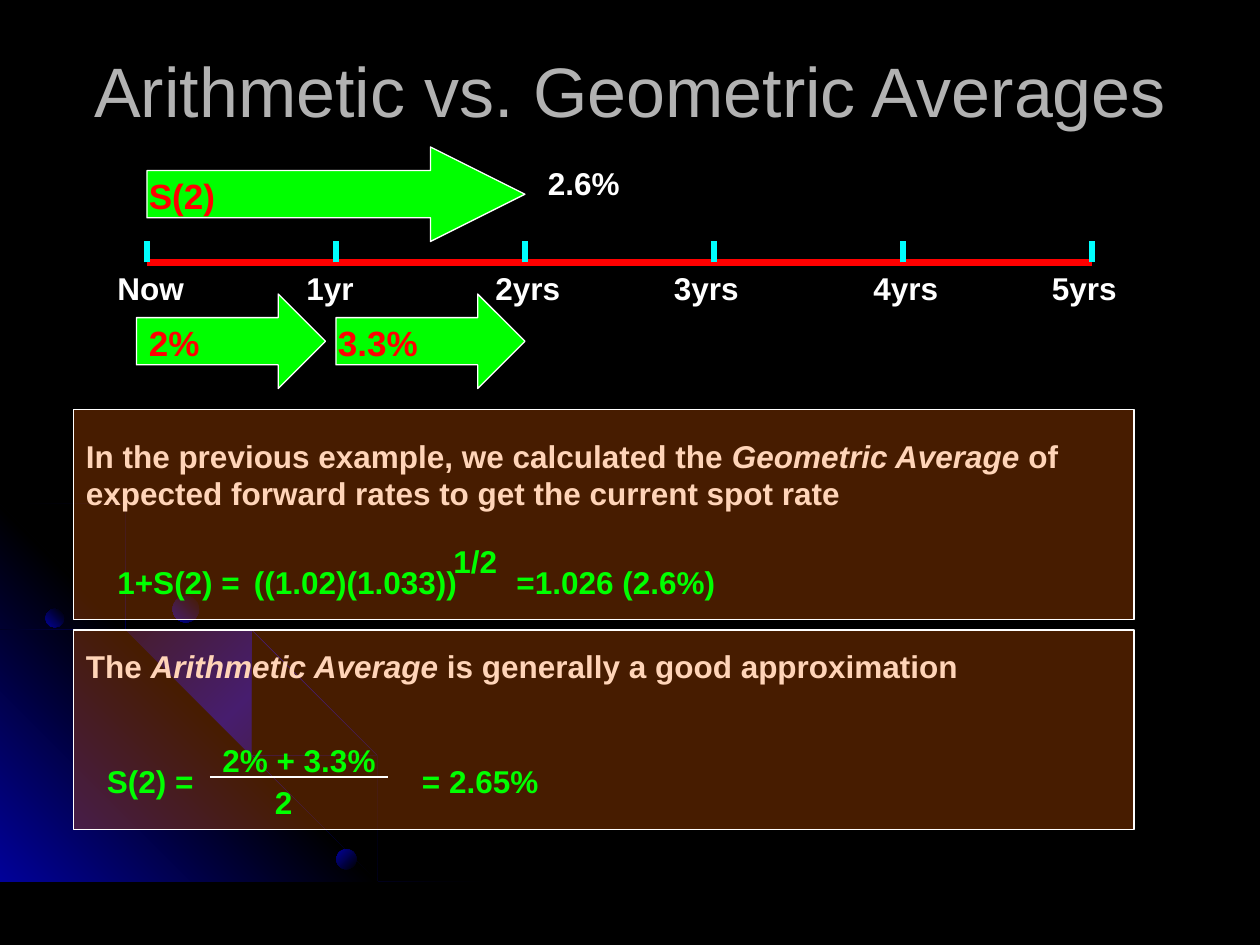
from dataclasses import dataclass
from lxml import etree
from pptx import Presentation
from pptx.dml.color import RGBColor
from pptx.enum.shapes import MSO_CONNECTOR, MSO_SHAPE
from pptx.enum.text import MSO_ANCHOR, MSO_AUTO_SIZE, PP_ALIGN
from pptx.oxml.ns import qn
from pptx.util import Inches, Pt

STRAIGHT = MSO_CONNECTOR.STRAIGHT
ARROW, RECTANGLE, OVAL = MSO_SHAPE.RIGHT_ARROW, MSO_SHAPE.RECTANGLE, MSO_SHAPE.OVAL
UNIT = Inches(1) / 12  # grid of 120 columns by 90 rows
TITLE_ONLY = 5


@dataclass(frozen=True)
class Theme:
    font: str = "Arial"
    background: str = "000000"
    glow: str = "010199"
    title: str = "B2B2B2"
    text: str = "FFFFFF"
    accent: str = "00FF00"
    rate: str = "FF0000"
    tick: str = "00FFFF"
    panel: str = "FF6600"
    panel_opacity: int = 28
    title_size: int = 40
    rate_size: int = 20
    body_size: int = 18
    outline: float = 0.75


@dataclass(frozen=True)
class Label:
    """Bold text; words between asterisks are italic."""
    text: str
    column: float
    row: float
    columns: float
    color: str
    size: int = 18
    rows: float = 4.8


@dataclass(frozen=True)
class RateArrow:
    column: int
    row: int
    columns: int
    head: float
    label: Label


THEME = Theme()

# Background ribbons: outline points in inches
RIBBONS = [
    [(0.57, 4.47), (0, 4.35), (0, 4.38), (0.56, 4.49), (0.97, 4.61), (1.35, 4.78),
     (1.73, 4.99), (2.08, 5.23), (2.41, 5.49), (2.71, 5.79), (2.98, 6.12),
     (3.23, 6.49), (3.37, 6.73), (3.5, 6.98), (3.6, 7.23), (3.7, 7.49),
     (3.72, 7.49), (3.62, 7.23), (3.52, 6.98), (3.39, 6.73), (3.25, 6.48),
     (3, 6.11), (2.72, 5.78), (2.42, 5.48), (2.09, 5.21), (1.74, 4.97),
     (1.36, 4.77), (0.98, 4.59)],
    [(2.85, 7.14), (2.94, 7.32), (3.01, 7.49), (3.03, 7.49), (2.96, 7.3),
     (2.86, 7.12), (2.66, 6.76), (2.42, 6.4), (2.15, 6.06), (1.84, 5.76),
     (1.52, 5.49), (1.17, 5.26), (0.79, 5.05), (0.41, 4.88), (0, 4.75),
     (0, 4.77), (0.39, 4.9), (0.77, 5.07), (1.15, 5.28), (1.5, 5.51),
     (1.83, 5.78), (2.13, 6.08), (2.4, 6.42), (2.65, 6.77)],
    [(0, 4.42), (0, 4.44), (0.36, 4.57), (0.74, 4.75), (1.09, 4.94), (1.42, 5.18),
     (1.73, 5.44), (2.02, 5.75), (2.27, 6.05), (2.52, 6.41), (2.67, 6.67),
     (2.8, 6.94), (2.92, 7.22), (3.01, 7.49), (3.03, 7.49), (2.94, 7.2),
     (2.82, 6.93), (2.69, 6.65), (2.54, 6.39), (2.29, 6.03), (2.04, 5.73),
     (1.75, 5.43), (1.44, 5.16), (1.11, 4.93), (0.76, 4.73), (0.39, 4.55)],
]
CORNER = [(3.22, 7.49), (0, 7.49), (0, 4.27)]
# Dots: left, top, diameter in inches, clockwise gradient angle
DOTS = [(0.36, 4.83, 0.15, 135), (2.67, 6.74, 0.16, 225), (1.37, 4.73, 0.21, 135)]

AXIS_START, YEAR_COLUMNS, YEARS, AXIS_ROW = 14, 18, 5, 25
YEAR_LABELS = [("Now", 10, 10), ("1yr", 28, 8), ("2yrs", 46, 9),
               ("3yrs", 63, 9), ("4yrs", 82, 9), ("5yrs", 99, 9)]
RATE_ARROWS = [
    RateArrow(14, 14, 36, 1, Label("S(2)", 13, 16, 12, THEME.rate, THEME.rate_size)),
    RateArrow(32, 28, 18, 0.5, Label("3.3%", 31, 30, 12, THEME.rate, THEME.rate_size)),
    RateArrow(13, 28, 18, 0.5, Label("2%", 13, 30, 12, THEME.rate, THEME.rate_size)),
]
STATEMENTS = [
    Label("2.6%", 51, 15, 15, THEME.text),
    Label("In the previous example, we calculated the *Geometric Average* of "
          "expected forward rates to get the current spot rate",
          7, 41, 99, THEME.text, rows=8.4),
    Label("The *Arithmetic Average* is generally a good approximation",
          7, 61, 102, THEME.text),
]
PANELS = [(39, 20), (60, 19)]  # first row, rows
FORMULAS = [Label(*parts, THEME.accent) for parts in [
    ("1+S(2) =", 10, 53, 18), ("((1.02)(1.033))", 23, 53, 22),
    ("=1.026 (2.6%)", 48, 53, 27), ("1/2", 42, 51, 7),
    ("S(2) =", 9, 72, 17), ("2% + 3.3%", 20, 70, 22),
    ("2", 25, 74, 12), ("= 2.65%", 39, 72, 15)]]


def grid(*values: float) -> list[int]:
    return [round(value * UNIT) for value in values]


def rgb(color: str) -> RGBColor:
    return RGBColor.from_string(color)


def fill_gradient(shape, colors: list[str], clockwise_angle: int) -> None:
    shape.shadow.inherit = False
    shape.line.fill.background()
    shape.fill.gradient()
    shape.fill.gradient_angle = 360 - clockwise_angle
    stops = shape._element.spPr.find(".//" + qn("a:gsLst"))
    for stop in list(stops):
        stops.remove(stop)
    for index, color in enumerate(colors):
        position = 100000 * index // (len(colors) - 1)
        stop = etree.SubElement(stops, qn("a:gs"), pos=str(position))
        etree.SubElement(stop, qn("a:srgbClr"), val=color)


def add_outline(slide, points: list[tuple[float, float]], colors: list[str], angle: int) -> None:
    builder = slide.shapes.build_freeform(*points[0], scale=Inches(1))
    builder.add_line_segments(points[1:], close=True)
    fill_gradient(builder.convert_to_shape(), colors, angle)


def add_backdrop(slide) -> None:
    dark, glow = THEME.background, THEME.glow
    add_outline(slide, RIBBONS[0], [dark, glow, dark], 225)
    add_outline(slide, CORNER, [glow, dark, glow], 135)
    for ribbon in RIBBONS[1:]:
        add_outline(slide, ribbon, [dark, glow, dark], 225)
    for left, top, diameter, angle in DOTS:
        dot = slide.shapes.add_shape(
            OVAL, Inches(left), Inches(top), Inches(diameter), Inches(diameter))
        fill_gradient(dot, [dark, glow], angle)


def add_line(slide, ends: tuple[float, ...], color: str, width: float) -> None:
    line = slide.shapes.add_connector(STRAIGHT, *grid(*ends))
    line.line.color.rgb = rgb(color)
    line.line.width = Pt(width)
    etree.SubElement(line._element.spPr, qn("a:effectLst"))


def add_label(slide, label: Label) -> None:
    box = slide.shapes.add_textbox(*grid(label.column, label.row, label.columns, label.rows))
    frame = box.text_frame
    frame.word_wrap = True
    frame.auto_size = MSO_AUTO_SIZE.SHAPE_TO_FIT_TEXT
    for index, part in enumerate(label.text.split("*")):
        run = frame.paragraphs[0].add_run()
        run.text = part
        run.font.name, run.font.size = THEME.font, Pt(label.size)
        run.font.bold, run.font.italic = True, index % 2 == 1
        run.font.color.rgb = rgb(label.color)


def add_block(slide, kind, bounds: tuple[float, ...], color: str):
    block = slide.shapes.add_shape(kind, *grid(*bounds))
    block.shadow.inherit = False
    block.fill.solid()
    block.fill.fore_color.rgb = rgb(color)
    block.line.color.rgb = rgb(THEME.text)
    block.line.width = Pt(THEME.outline)
    return block


def add_title(slide, text: str) -> None:
    title = slide.shapes.title
    title.left, title.top, title.width, title.height = grid(6, 3, 108, 11)
    title.text_frame.text = text
    title.text_frame.vertical_anchor = MSO_ANCHOR.MIDDLE
    paragraph = title.text_frame.paragraphs[0]
    paragraph.alignment = PP_ALIGN.CENTER
    font = paragraph.runs[0].font
    font.name, font.size = THEME.font, Pt(THEME.title_size)
    font.color.rgb = rgb(THEME.title)


def main() -> None:
    presentation = Presentation()
    presentation.slide_width, presentation.slide_height = grid(120, 90)
    slide = presentation.slides.add_slide(presentation.slide_layouts[TITLE_ONLY])
    slide.background.fill.solid()
    slide.background.fill.fore_color.rgb = rgb(THEME.background)
    add_backdrop(slide)
    add_title(slide, "Arithmetic vs. Geometric Averages")

    # Timeline
    axis_end = AXIS_START + YEARS * YEAR_COLUMNS
    add_line(slide, (AXIS_START, AXIS_ROW, axis_end, AXIS_ROW), THEME.rate, 4.5)
    for column in range(AXIS_START, axis_end + 1, YEAR_COLUMNS):
        add_line(slide, (column, AXIS_ROW, column, AXIS_ROW - 2), THEME.tick, 3)
    for text, column, columns in YEAR_LABELS:
        add_label(slide, Label(text, column, AXIS_ROW, columns, THEME.text))

    # Rates
    for rate in RATE_ARROWS:
        arrow = add_block(slide, ARROW, (rate.column, rate.row, rate.columns, 9), THEME.accent)
        arrow.adjustments[1] = rate.head
        add_label(slide, rate.label)

    # Statements under translucent panels, formulas on top
    for statement in STATEMENTS:
        add_label(slide, statement)
    for row, rows in PANELS:
        panel = add_block(slide, RECTANGLE, (7, row, 101, rows), THEME.panel)
        color = panel._element.spPr.find(qn("a:solidFill")).find(qn("a:srgbClr"))
        etree.SubElement(color, qn("a:alpha"), val=str(THEME.panel_opacity * 1000))
    for formula in FORMULAS:
        add_label(slide, formula)
    add_line(slide, (20, 74, 37, 74), THEME.text, THEME.outline)

    presentation.save("out.pptx")


if __name__ == "__main__":
    main()
